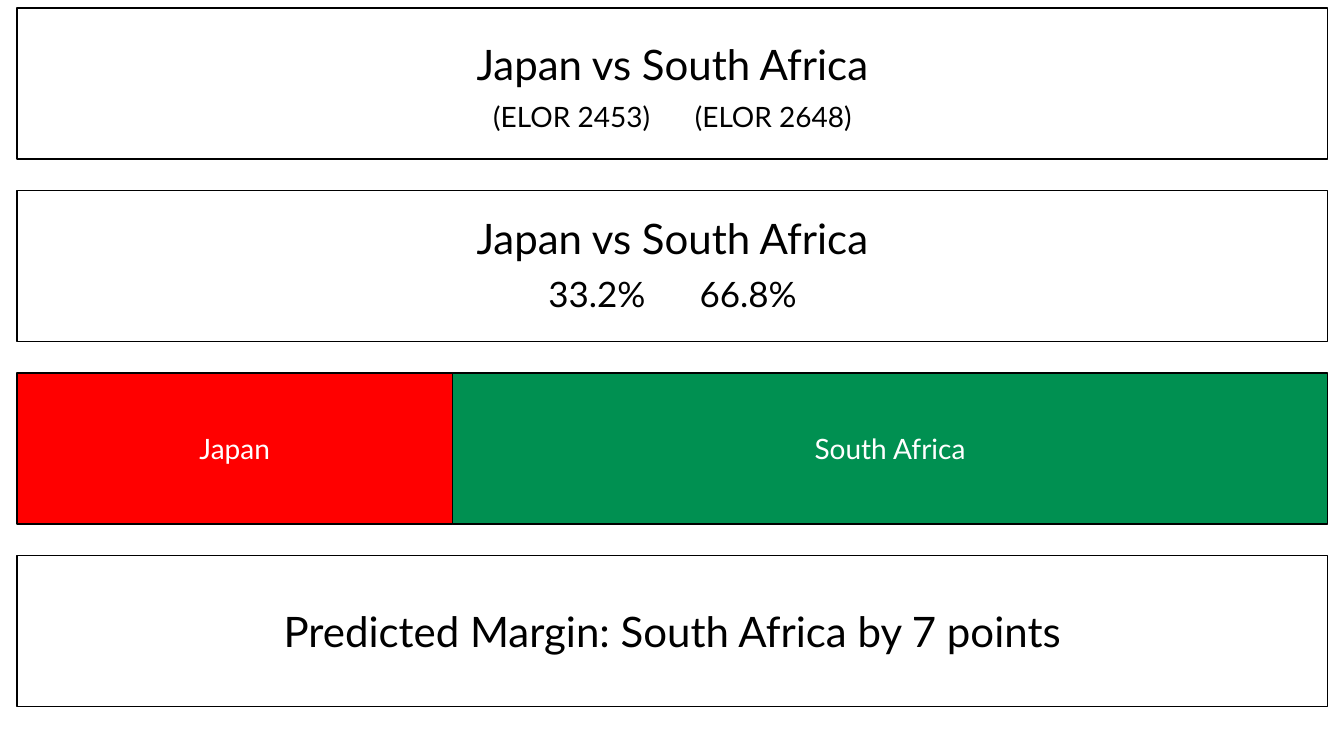
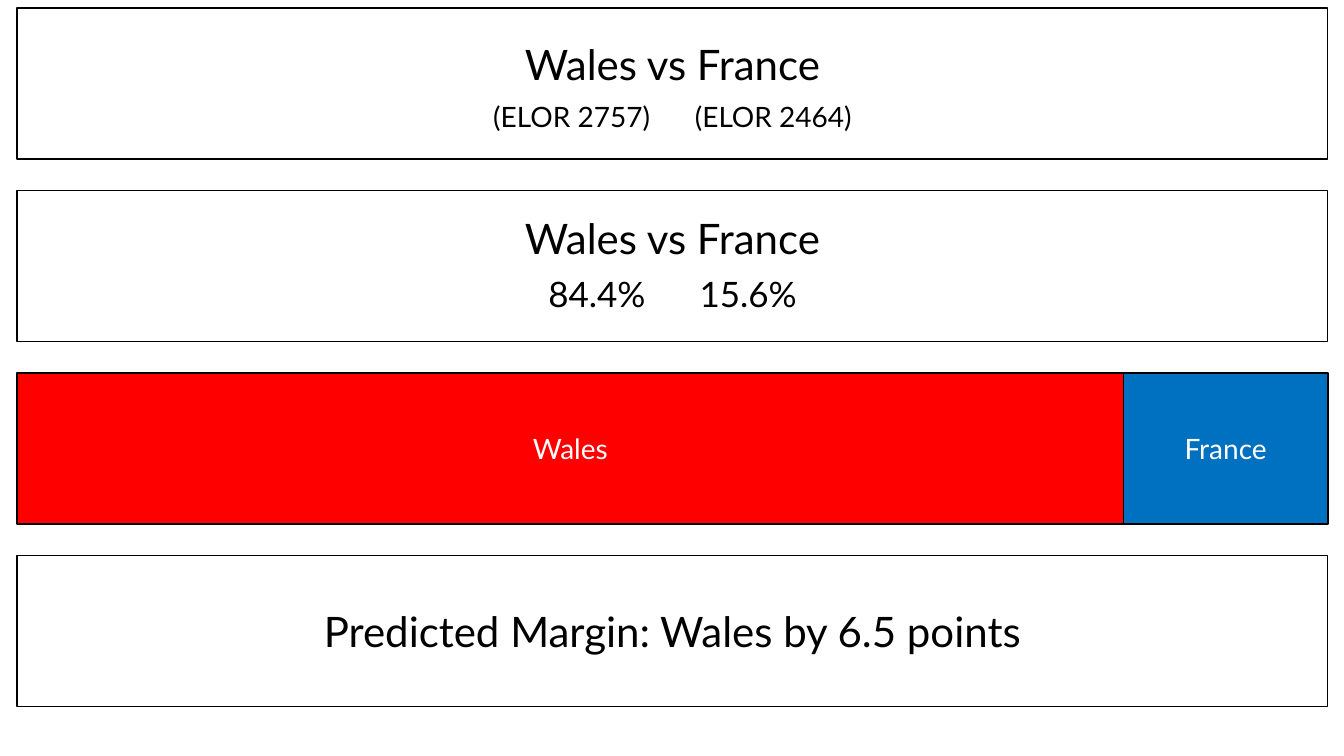
from pptx import Presentation
from pptx.dml.color import RGBColor
from pptx.enum.shapes import MSO_SHAPE
from pptx.enum.text import MSO_ANCHOR, MSO_AUTO_SIZE, PP_ALIGN
from pptx.util import Inches, Pt

RECTANGLE = MSO_SHAPE.RECTANGLE
MIDDLE = MSO_ANCHOR.MIDDLE
GROW = MSO_AUTO_SIZE.SHAPE_TO_FIT_TEXT
CENTER = PP_ALIGN.CENTER

FONT = "Lato"
COLORS = {
    "black": "000000",
    "white": "FFFFFF",
    "red": "FF0000",
    "green": "009051",
    "blue": "0070C0",
}

# Four equal bands share one left edge, width and pitch
LEFT, WIDTH = 0.17, 13
BAND_HEIGHT = 1.5
BAND_TOPS = [0.08 + 1.81 * band for band in range(4)]

# Each team: name, rating, win chance in percent, bar colour
MATCHES = [
    {
        "teams": [("Japan", 2453, 33.2, "red"),
                  ("South Africa", 2648, 66.8, "green")],
        "margin": "South Africa by 7 points",
    },
    {
        "teams": [("Wales", 2757, 84.4, "red"),
                  ("France", 2464, 15.6, "blue")],
        "margin": "Wales by 6.5 points",
    },
]


def rgb(color):
    return RGBColor.from_string(COLORS[color])


def write(frame, text, size, color="black"):
    frame.word_wrap = True
    frame.text = text
    paragraph = frame.paragraphs[0]
    paragraph.alignment = CENTER
    for run in paragraph.runs:
        run.font.name = FONT
        run.font.size = Pt(size)
        run.font.color.rgb = rgb(color)


def add_band(slide, top, left=LEFT, width=WIDTH, fill="white"):
    band = slide.shapes.add_shape(
        RECTANGLE, Inches(left), Inches(top), Inches(width), Inches(BAND_HEIGHT))
    band.shadow.inherit = False
    band.fill.solid()
    band.fill.fore_color.rgb = rgb(fill)
    band.line.color.rgb = rgb("black")
    band.line.width = Pt(1)
    band.text_frame.vertical_anchor = MIDDLE
    return band


def add_line_of_text(slide, top, height, text, size):
    line = slide.shapes.add_textbox(
        Inches(LEFT), Inches(top), Inches(WIDTH), Inches(height))
    write(line.text_frame, text, size)
    line.text_frame.auto_size = GROW


def add_chance_bar(slide, top, teams):
    left = LEFT
    for name, _, chance, color in teams:
        width = WIDTH * chance / 100
        bar = add_band(slide, top, left, width, color)
        write(bar.text_frame, name, 20, "white")
        left += width


def add_match(slide, teams, margin):
    rating_top, chance_top, bar_top, margin_top = BAND_TOPS
    title = " vs ".join(team[0] for team in teams)

    # Ratings
    add_band(slide, rating_top)
    add_line_of_text(slide, 0.33, 0.61, title, 30)
    ratings = "\t".join(f"(ELOR {team[1]})" for team in teams)
    add_line_of_text(slide, 0.94, 0.44, ratings, 20)

    # Win chances
    add_band(slide, chance_top)
    add_line_of_text(slide, 2.06, 0.61, title, 30)
    chances = "\t\t".join(f"{team[2]}%" for team in teams)
    add_line_of_text(slide, 2.65, 0.52, chances, 25)
    add_chance_bar(slide, bar_top, teams)

    # Predicted margin
    prediction = add_band(slide, margin_top)
    write(prediction.text_frame, f"Predicted Margin: {margin}", 30)


def main():
    deck = Presentation()
    deck.slide_width = Inches(13.33)
    deck.slide_height = Inches(7.5)
    blank = deck.slide_layouts[6]
    for match in MATCHES:
        add_match(deck.slides.add_slide(blank), match["teams"], match["margin"])
    deck.save("out.pptx")


if __name__ == "__main__":
    main()
